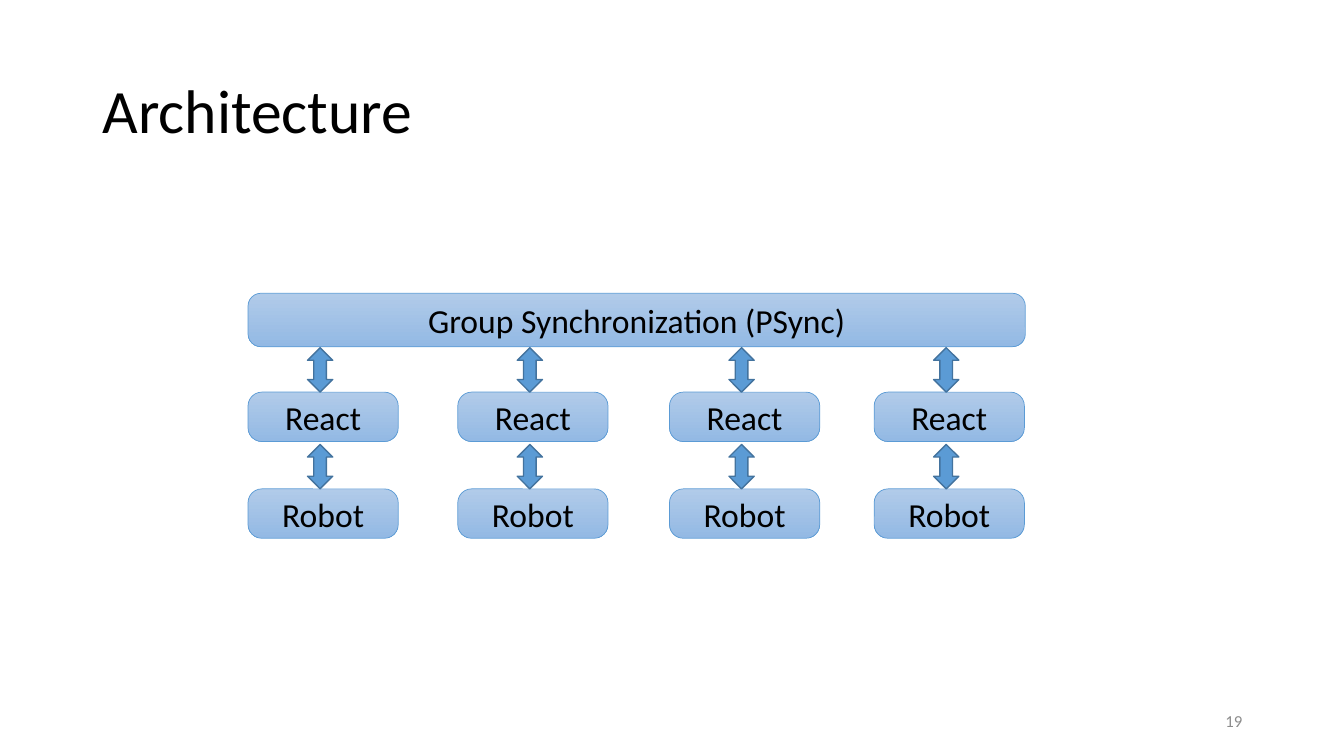
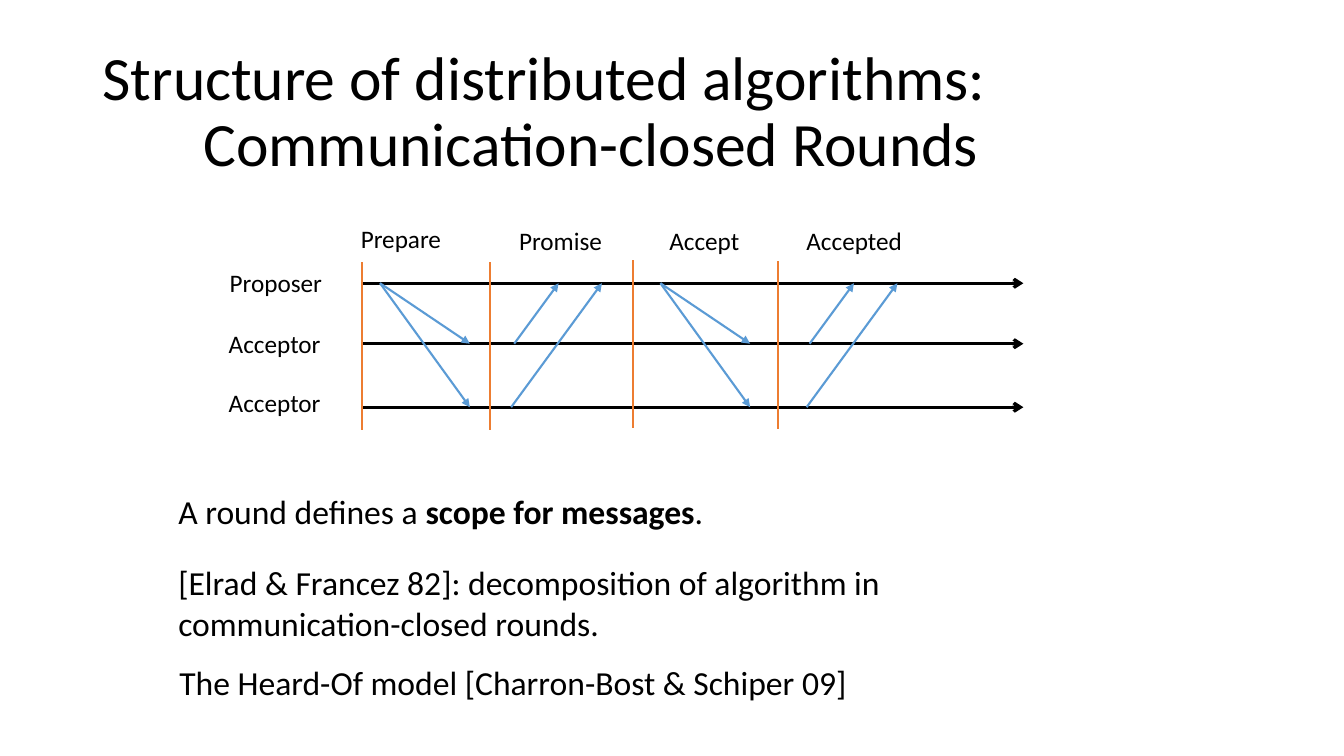
from lxml.etree import SubElement
from pptx import Presentation
from pptx.dml.color import RGBColor
from pptx.enum.shapes import MSO_CONNECTOR, MSO_SHAPE
from pptx.enum.text import MSO_ANCHOR, PP_ALIGN
from pptx.oxml.ns import qn
from pptx.util import Inches, Pt


class Theme:
    FONT = "Calibri"
    BLACK, GREY = "000000", "8C8C8C"
    BLUE, DARK_BLUE, ORANGE = "5B9BD5", "43739E", "ED7D31"
    BOX_TOP, BOX_BOTTOM = "B1CBE9", "93B9E4"
    TITLE, BODY, LABEL, NUMBER = 44, 24, 18, 12


# Content: architecture slide
ARCHITECTURE = "Architecture"
PAGE_NUMBER = "19"
SYNC_LAYER = "Group Synchronization (PSync)"
SYNC_BOX = (2.46, 2.91, 7.71, 0.53)
NODE_LAYERS = [("React", 3.89), ("Robot", 4.85)]
NODE_LEFTS = [2.46, 4.54, 6.64, 8.67]
NODE_W, NODE_H = 1.49, 0.49
ARROW_W, ARROW_H = 0.25, 0.44
ARROW_INDENT = 0.59

# Content: rounds slide
ROUNDS_TITLE = "Structure of distributed algorithms: \v\tCommunication-closed Rounds"
# name, line y, label left, label top, label width
PROCESSES = [
    ("Proposer", 2.81, 2.18, 2.6, 1.13),
    ("Acceptor", 3.41, 2.17, 3.21, 1.12),
    ("Acceptor", 4.04, 2.17, 3.79, 1.12),
]
TIME_START, TIME_END = 3.59, 10.15
# name, label left, label top, label width, boundary x, boundary top, pattern, first message x
ROUNDS = [
    ("Prepare", 3.48, 2.17, 1.01, 3.59, 2.6, "broadcast", 3.77),
    ("Promise", 5.05, 2.19, 1.03, 4.86, 2.6, "reply", 5.07),
    ("Accept", 6.54, 2.19, 0.9, 6.28, 2.58, "broadcast", 6.55),
    ("Accepted", 7.9, 2.19, 1.16, 7.72, 2.59, "reply", 8.0),
]
BOUNDARY_H = 1.67
# sender, send offset, receiver, receive offset
MESSAGES = {
    "broadcast": [(0, 0, 1, 0.89), (0, 0, 2, 0.89)],
    "reply": [(1, 0.03, 0, 0.47), (2, 0, 0, 0.9)],
}
# box, wraps, runs as (text, bold)
STATEMENTS = [
    ((1.67, 4.82, 5.59, 0.5), False,
     [("A round defines a ", False), ("scope for messages", True), (".", False)]),
    ((1.67, 5.53, 8.54, 0.91), True,
     [("[Elrad & Francez 82]: decomposition of algorithm in "
       "communication-closed rounds.", False)]),
    ((1.68, 6.52, 6.88, 0.5), False,
     [("The Heard-Of model [Charron-Bost & Schiper 09]", False)]),
]


# Shared helpers
def rgb(color):
    return RGBColor.from_string(color)


def style(paragraph, size, color=Theme.BLACK):
    font = paragraph.font
    font.name, font.size = Theme.FONT, Pt(size)
    font.color.rgb = rgb(color)


def add_text(slide, box, runs, size, color=Theme.BLACK, wrap=False,
             anchor=MSO_ANCHOR.TOP, align=PP_ALIGN.LEFT):
    frame = slide.shapes.add_textbox(*map(Inches, box)).text_frame
    frame.word_wrap, frame.vertical_anchor = wrap, anchor
    paragraph = frame.paragraphs[0]
    paragraph.alignment = align
    for text, bold in runs:
        run = paragraph.add_run()
        run.text = text
        if bold:
            run.font.bold = True
    style(paragraph, size, color)


def add_title(slide, text):
    frame = slide.shapes.add_textbox(*map(Inches, (0.92, 0.4, 11.5, 1.45))).text_frame
    frame.word_wrap, frame.vertical_anchor = True, MSO_ANCHOR.MIDDLE
    paragraph = frame.paragraphs[0]
    paragraph.text = text
    paragraph.line_spacing = 0.9
    if "\t" in text:
        tabs = SubElement(paragraph._p.get_or_add_pPr(), qn("a:tabLst"))
        SubElement(tabs, qn("a:tab"), pos=str(Inches(1)), algn="l")
    style(paragraph, Theme.TITLE)


def add_shape(slide, kind, box, line_color, line_width):
    shape = slide.shapes.add_shape(kind, *map(Inches, box))
    shape.shadow.inherit = False
    shape.line.color.rgb = rgb(line_color)
    shape.line.width = Pt(line_width)
    return shape


def add_box(slide, text, box, corner):
    shape = add_shape(slide, MSO_SHAPE.ROUNDED_RECTANGLE, box, Theme.BLUE, 0.5)
    shape.adjustments[0] = corner
    shape.fill.gradient()
    shape.fill.gradient_angle = 270
    for stop, color in zip(shape.fill.gradient_stops, (Theme.BOX_TOP, Theme.BOX_BOTTOM)):
        stop.color.rgb = rgb(color)
    frame = shape.text_frame
    frame.vertical_anchor = MSO_ANCHOR.MIDDLE
    paragraph = frame.paragraphs[0]
    paragraph.text = text
    paragraph.alignment = PP_ALIGN.CENTER
    style(paragraph, Theme.BODY)


def add_link(slide, left, bottom):
    box = (left, bottom - ARROW_H, ARROW_W, ARROW_H)
    link = add_shape(slide, MSO_SHAPE.UP_DOWN_ARROW, box, Theme.DARK_BLUE, 1)
    link.fill.solid()
    link.fill.fore_color.rgb = rgb(Theme.BLUE)


def add_line(slide, start, end, color, width, head=None):
    line = slide.shapes.add_connector(MSO_CONNECTOR.STRAIGHT, *map(Inches, start + end))
    line.line.color.rgb = rgb(color)
    line.line.width = Pt(width)
    if head:
        SubElement(line.line._get_or_add_ln(), qn("a:tailEnd"), type=head)
    SubElement(line._element.spPr, qn("a:effectLst"))


def build_architecture(slide):
    add_title(slide, ARCHITECTURE)
    add_text(slide, (9.42, 6.95, 3, 0.4), [(PAGE_NUMBER, False)], Theme.NUMBER, Theme.GREY,
             wrap=True, anchor=MSO_ANCHOR.MIDDLE, align=PP_ALIGN.RIGHT)
    add_box(slide, SYNC_LAYER, SYNC_BOX, 0.24)
    for left in NODE_LEFTS:
        for name, top in NODE_LAYERS:
            add_box(slide, name, (left, top, NODE_W, NODE_H), 0.28)
            add_link(slide, left + ARROW_INDENT, top)


def build_rounds(slide):
    add_title(slide, ROUNDS_TITLE)

    # Process timelines
    for name, y, left, top, width in PROCESSES:
        add_line(slide, (TIME_START, y), (TIME_END, y), Theme.BLACK, 2.25, "arrow")
        add_text(slide, (left, top, width, 0.4), [(name, False)], Theme.LABEL)

    # Rounds with their messages
    for name, left, top, width, edge, edge_top, pattern, first in ROUNDS:
        for sender, sent, receiver, received in MESSAGES[pattern]:
            add_line(slide, (first + sent, PROCESSES[sender][1]),
                     (first + received, PROCESSES[receiver][1]), Theme.BLUE, 1.5, "triangle")
        add_text(slide, (left, top, width, 0.4), [(name, False)], Theme.LABEL)
        add_line(slide, (edge, edge_top), (edge, edge_top + BOUNDARY_H), Theme.ORANGE, 1.5)

    # Statements
    for box, wrap, runs in STATEMENTS:
        add_text(slide, box, runs, Theme.BODY, wrap=wrap)


def main():
    deck = Presentation()
    deck.slide_width, deck.slide_height = Inches(13.33), Inches(7.5)
    for build in (build_architecture, build_rounds):
        build(deck.slides.add_slide(deck.slide_layouts[6]))
    deck.save("out.pptx")


if __name__ == "__main__":
    main()
